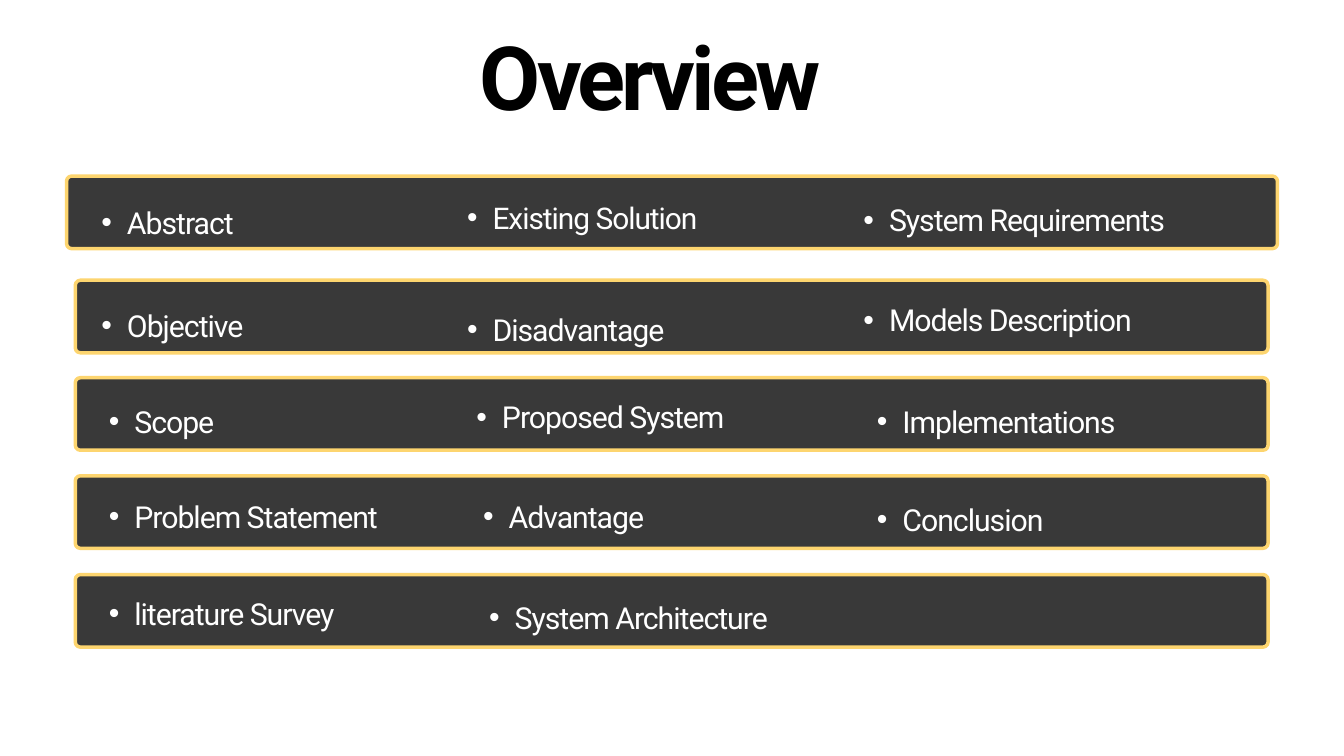
import pptx
import pptx.dml.color
import pptx.enum.shapes
import pptx.enum.text
import pptx.oxml
import pptx.oxml.ns
import pptx.util

PX = 9144
COLORS = {"bar": "393939", "edge": "FDD56F", "topic": "FFFFFF", "heading": "000000"}
FRAME_FORMAT = {
    "margin_left": 0, "margin_top": 0, "margin_right": 0, "margin_bottom": 0,
    "word_wrap": True,
    "auto_size": pptx.enum.text.MSO_AUTO_SIZE.NONE,
    "vertical_anchor": pptx.enum.text.MSO_ANCHOR.TOP,
}
ROWS = [
    (99, 262, 1802, [("Abstract", 112, 268, 32.4),
                     ("Existing Solution", 656, 261, 32),
                     ("System Requirements", 1246, 264, 32.4)]),
    (112, 417, 1775, [("Objective", 112, 421, 32.4),
                      ("Disadvantage", 656, 427, 32.4),
                      ("Models Description", 1246, 413, 32.4)]),
    (112, 562, 1775, [("Scope", 123, 564, 32.4),
                      ("Proposed System", 670, 557, 32.4),
                      ("Implementations", 1266, 564, 32.4)]),
    (112, 708, 1775, [("Problem Statement", 123, 705, 32.4),
                      ("Advantage", 680, 705, 32.4),
                      ("Conclusion", 1266, 710, 32.4)]),
    (112, 855, 1775, [("literature Survey", 123, 850, 32.4),
                      ("System Architecture", 689, 856, 32.4)]),
]


def rgb(name):
    return pptx.dml.color.RGBColor.from_string(COLORS[name])


def write(frame, text, size, leading, color, bold, align, tracking):
    for key, value in FRAME_FORMAT.items():
        setattr(frame, key, value)
    paragraph = frame.paragraphs[0]
    paragraph.alignment = align
    paragraph.line_spacing = pptx.util.Pt(leading)
    words = paragraph.add_run()
    words.text = text
    font_format = {"name": "Roboto", "size": pptx.util.Pt(size), "bold": bold}
    for key, value in font_format.items():
        setattr(words.font, key, value)
    words.font.color.rgb = rgb(color)
    words.font._element.set("spc", str(tracking))


deck = pptx.Presentation()
deck.slide_width, deck.slide_height = 2000 * PX, 1125 * PX
slide = deck.slides.add_slide(deck.slide_layouts[5])

heading = slide.shapes.title
heading_place = {"left": 514, "top": 85, "width": 907, "height": 149}
for key, value in heading_place.items():
    setattr(heading, key, value * PX)
write(heading.text_frame, "Overview", 95, 76, "heading", True,
      pptx.enum.text.PP_ALIGN.CENTER, -420)

for bar_left, bar_top, bar_width, topics in ROWS:
    bar = slide.shapes.add_shape(
        pptx.enum.shapes.MSO_SHAPE.ROUNDED_RECTANGLE,
        bar_left * PX, bar_top * PX, bar_width * PX, 108 * PX)
    bar.adjustments[0] = 0.07
    bar.shadow.inherit = False
    bar.fill.solid()
    bar.fill.fore_color.rgb = rgb("bar")
    bar.line.color.rgb = rgb("edge")
    bar.line.width = pptx.util.Pt(3.75)

    for text, left, top, size in topics:
        topic = slide.shapes.add_textbox(left * PX, top * PX, 557 * PX, 80 * PX)
        properties = topic.text_frame.paragraphs[0]._p.get_or_add_pPr()
        properties.set("marL", str(77 * PX))
        properties.set("indent", str(-38 * PX))
        for tag, key, value in (("buFont", "typeface", "Arial"), ("buChar", "char", "•")):
            bullet = pptx.oxml.parse_xml(
                f'<a:{tag} {pptx.oxml.ns.nsdecls("a")} {key}="{value}"/>')
            properties.append(bullet)
        write(topic.text_frame, text, size, 2 * size, "topic", False,
              pptx.enum.text.PP_ALIGN.JUSTIFY, -110)

deck.save("out.pptx")
